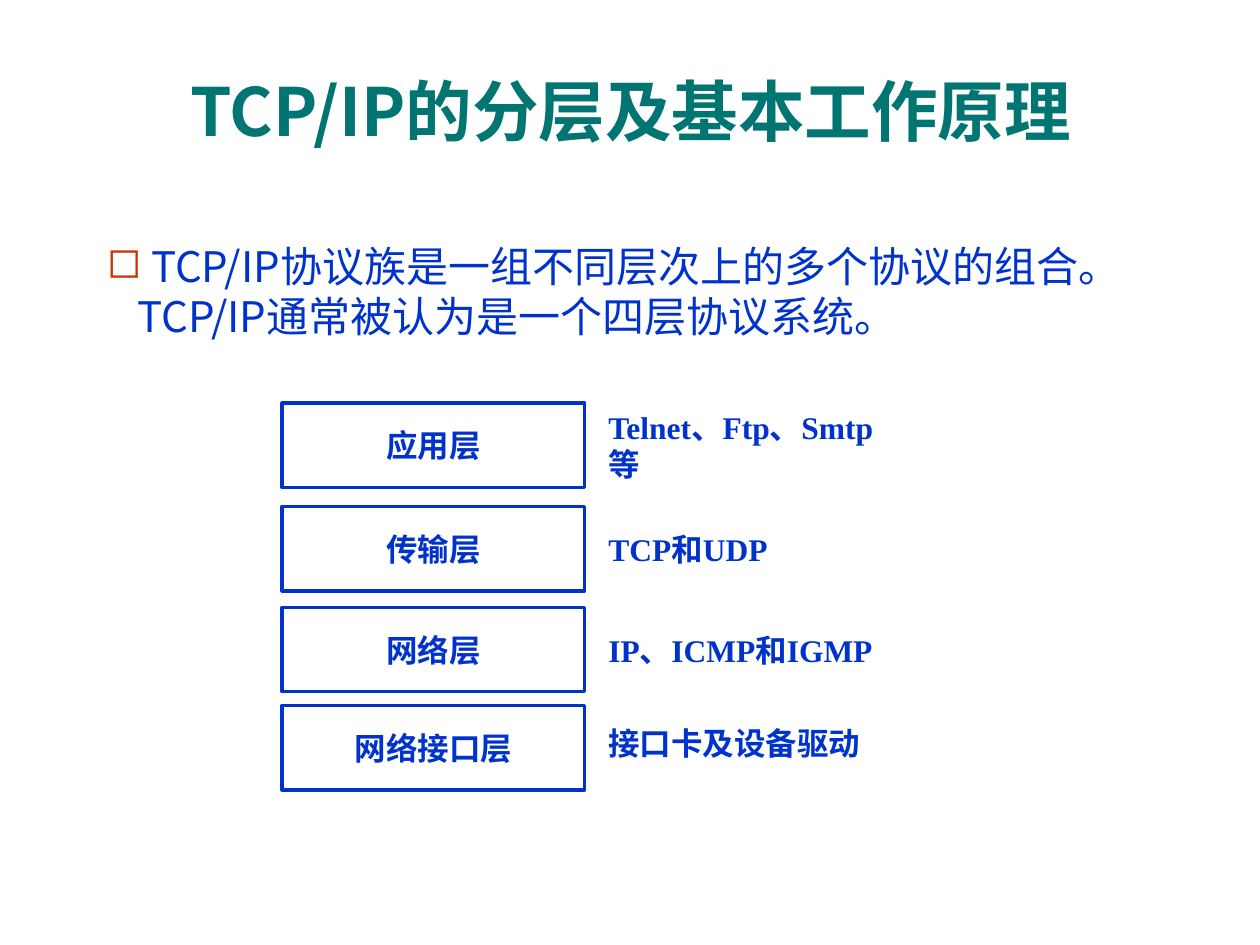
"""Build a slide on the four layers of TCP/IP."""
from dataclasses import dataclass

import pptx
import pptx.dml.color
import pptx.enum.shapes
import pptx.enum.text
import pptx.oxml.ns
import pptx.util
from lxml import etree

Inches = pptx.util.Inches
ALIGN = pptx.enum.text.PP_ALIGN
ANCHOR = pptx.enum.text.MSO_ANCHOR


@dataclass(frozen=True)
class Theme:
    """Colours, fonts and type sizes of the slide."""

    title: str = "007572"
    ink: str = "0033CC"
    bullet: str = "CC3300"
    cjk_font: str = "Noto Sans CJK SC"
    latin_font: str = "Times New Roman"
    title_size: int = 38
    body_size: int = 24
    layer_size: int = 18
    outline: int = 2


THEME = Theme()
LAYERS = [
    ("应用层", "Telnet、Ftp、Smtp等", 3.2, 3.2),
    ("传输层", "TCP和UDP", 4.02, 4.02),
    ("网络层", "IP、ICMP和IGMP", 4.82, 4.82),
    ("网络接口层", "接口卡及设备驱动", 5.6, 5.56),
]
LAYER_LEFT, PROTOCOL_LEFT = 2.24, 4.73
LAYER_WIDTH, LAYER_HEIGHT = 2.4, 0.67


def rgb(code):
    """Return a colour from its hex code."""
    return pptx.dml.color.RGBColor.from_string(code)


def apply(target, values):
    """Set each named attribute on the target."""
    for name, value in values.items():
        setattr(target, name, value)


def write(holder, wording, size, color, font, bold=True, align=ALIGN.LEFT,
          anchor=ANCHOR.MIDDLE, wrap=False):
    """Put one formatted paragraph into a shape and return it."""
    apply(holder.text_frame, {"word_wrap": wrap, "vertical_anchor": anchor})
    paragraph = holder.text_frame.paragraphs[0]
    paragraph.alignment = align
    run = paragraph.add_run()
    run.text = wording
    apply(run.font, {"size": pptx.util.Pt(size), "bold": bold, "name": font})
    run.font.color.rgb = rgb(color)
    east_asian = etree.SubElement(run.font._element, pptx.oxml.ns.qn("a:ea"))
    east_asian.set("typeface", THEME.cjk_font)
    return paragraph


def add_text(slide, left, top, width, height, wording, **style):
    """Add a text box and return its paragraph."""
    box = slide.shapes.add_textbox(*map(Inches, (left, top, width, height)))
    return write(box, wording, **style)


def add_bullet(paragraph, symbol, color, indent):
    """Give a paragraph a coloured bullet and a hanging indent."""
    qn = pptx.oxml.ns.qn
    properties = paragraph._p.get_or_add_pPr()
    properties.set("marL", str(Inches(indent)))
    properties.set("indent", str(-Inches(indent)))
    bullet_color = etree.SubElement(properties, qn("a:buClr"))
    etree.SubElement(bullet_color, qn("a:srgbClr")).set("val", color)
    etree.SubElement(properties, qn("a:buChar")).set("char", symbol)


def add_layer(slide, layer, protocols, layer_top, protocols_top):
    """Add a layer's outlined box and the protocols beside it."""
    style = {"size": THEME.layer_size, "color": THEME.ink, "font": THEME.latin_font}
    box = slide.shapes.add_shape(
        pptx.enum.shapes.MSO_SHAPE.RECTANGLE,
        *map(Inches, (LAYER_LEFT, layer_top, LAYER_WIDTH, LAYER_HEIGHT)))
    box.shadow.inherit = False
    box.fill.background()
    box.line.color.rgb = rgb(THEME.ink)
    box.line.width = pptx.util.Pt(THEME.outline)
    write(box, layer, align=ALIGN.CENTER, **style)
    add_text(slide, PROTOCOL_LEFT, protocols_top, LAYER_WIDTH, LAYER_HEIGHT,
             protocols, **style)


def main():
    """Build and save the slide."""
    deck = pptx.Presentation()
    apply(deck, {"slide_width": Inches(10), "slide_height": Inches(7.5)})
    slide = deck.slides.add_slide(deck.slide_layouts[6])
    add_text(slide, 0.63, 0.6, 8.75, 0.55, "TCP/IP的分层及基本工作原理",
             size=THEME.title_size, color=THEME.title, font=THEME.cjk_font,
             align=ALIGN.CENTER, wrap=True)
    summary = add_text(
        slide, 0.75, 1.86, 8.58, 0.9,
        " TCP/IP协议族是一组不同层次上的多个协议的组合。TCP/IP通常被认为是一个四层协议系统。",
        size=THEME.body_size, color=THEME.ink, font=THEME.cjk_font,
        bold=False, anchor=ANCHOR.TOP, wrap=True)
    add_bullet(summary, "◻", THEME.bullet, 0.24)
    for layer in LAYERS:
        add_layer(slide, *layer)
    deck.save("out.pptx")


if __name__ == "__main__":
    main()
